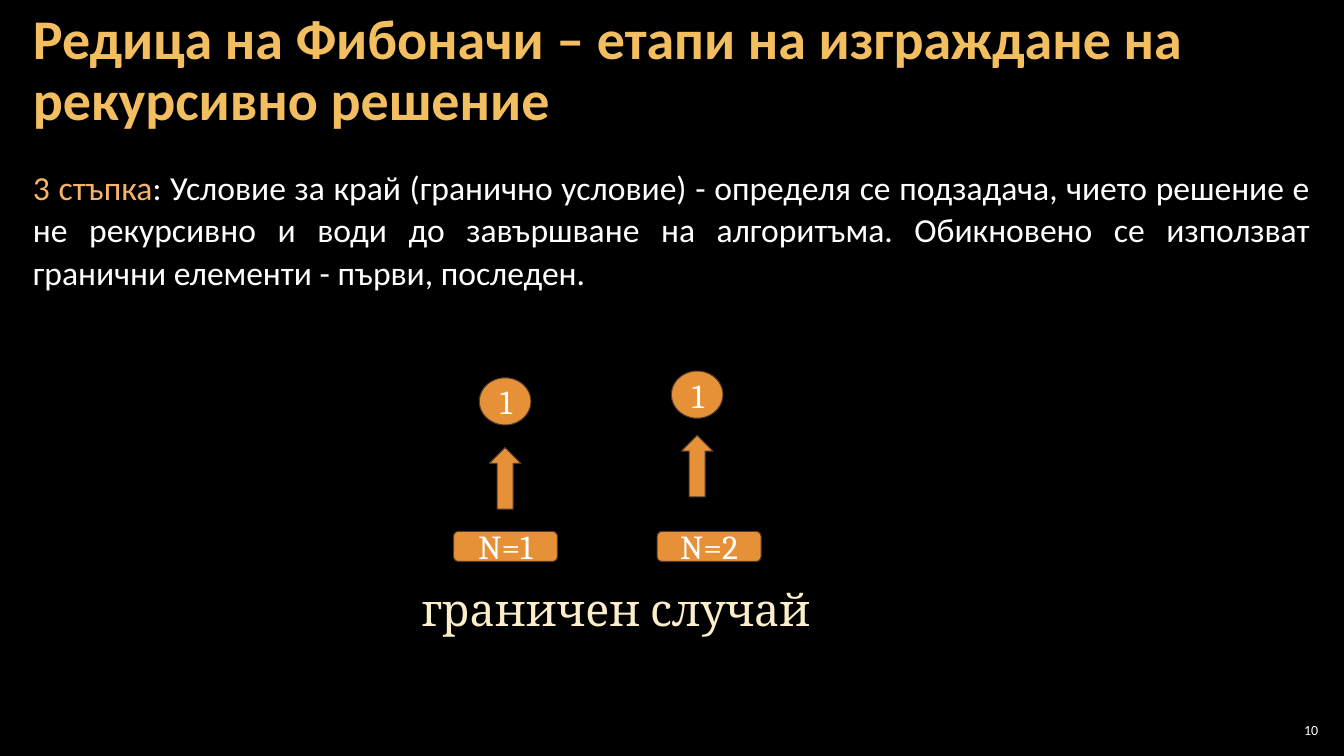
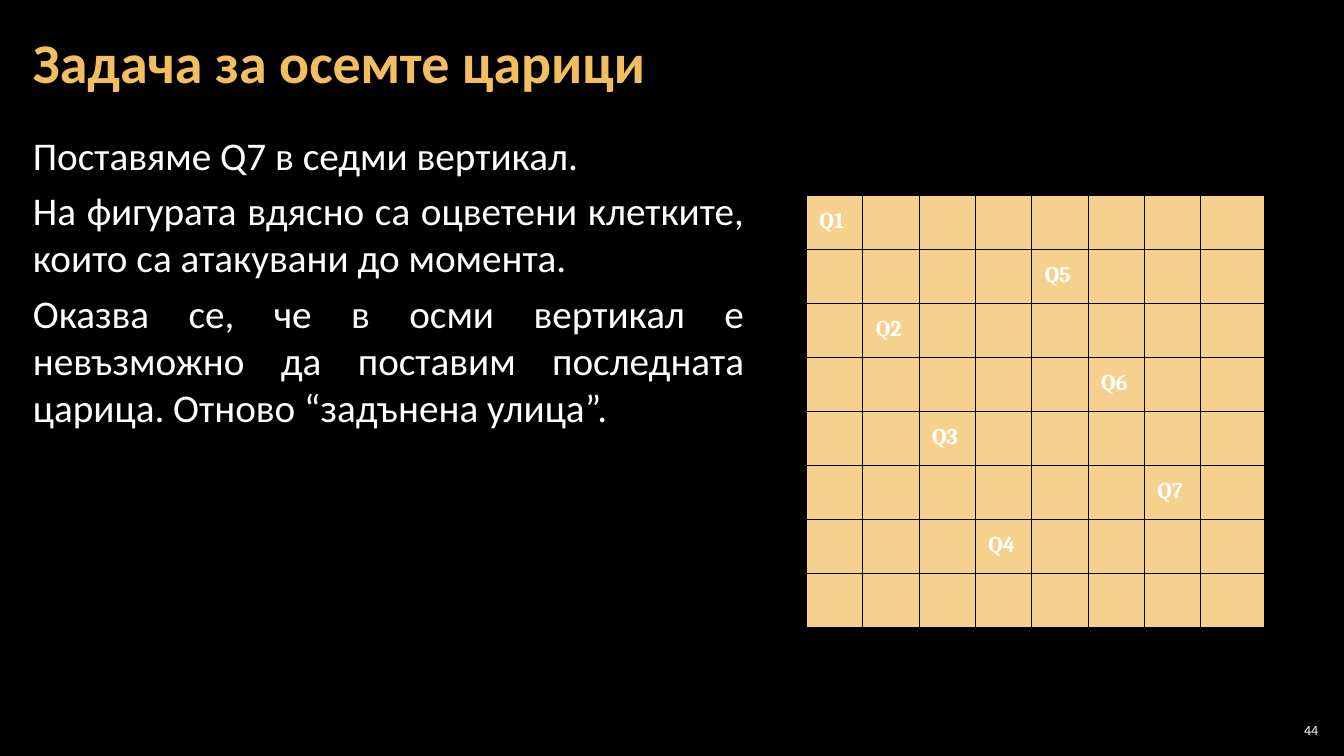
"""Builds two lecture slides on recursion: Fibonacci base cases and the eight queens board."""
from dataclasses import dataclass, field
from typing import Any, NamedTuple

from lxml.etree import SubElement
from pptx import Presentation
from pptx.dml.color import RGBColor as RGB
from pptx.enum.shapes import MSO_AUTO_SHAPE_TYPE as Preset
from pptx.enum.text import MSO_ANCHOR as Anchor, MSO_AUTO_SIZE as AutoSize, PP_ALIGN as Align
from pptx.oxml.ns import qn
from pptx.util import Cm, Pt


class Box(NamedTuple):
    left: float
    top: float
    width: float
    height: float

    def lengths(self) -> list[Cm]:
        return [Cm(value) for value in self]


class Style(NamedTuple):
    size: int
    color: RGB
    face: str = "Calibri"
    bold: bool = False


class Run(NamedTuple):
    text: str
    style: Style


class BaseCase(NamedTuple):
    label: str
    center: float
    circle_top: float
    arrow_top: float
    label_center: float


class Queen(NamedTuple):
    name: str
    row: int
    column: int


@dataclass(frozen=True)
class Theme:
    background: RGB = RGB(0x00, 0x00, 0x00)
    node: RGB = RGB(0xE6, 0x91, 0x38)
    outline: RGB = RGB(0x4E, 0x3B, 0x30)
    attacked: RGB = RGB(0xF6, 0xD1, 0x8E)
    title: Style = Style(40, RGB(0xF3, 0xBE, 0x60), bold=True)
    step: Style = Style(24, RGB(0xF6, 0xB2, 0x6B))
    explanation: Style = Style(24, RGB(0xFF, 0xFF, 0xFF))
    body: Style = Style(28, RGB(0xFF, 0xFF, 0xFF))
    node_text: Style = Style(24, RGB(0xFF, 0xFF, 0xFF), "Cambria")
    caption: Style = Style(32, RGB(0xFB, 0xEE, 0xC9), "Cambria")
    queen: Style = Style(16, RGB(0xFF, 0xFF, 0xFF), "Cambria", True)
    page: Style = Style(10, RGB(0xFF, 0xFF, 0xFF))


@dataclass(frozen=True)
class TextFormat:
    inset_x: float = 0.3
    inset_y: float = 0.1
    anchor: Anchor = Anchor.TOP
    paragraph: dict[str, Any] = field(default_factory=dict)


THEME = Theme()
LEFT, FULL_WIDTH = 0.53, 32.79
BOARD_SIZE = 8
SQUARE_WIDTH, LAST_WIDTH, SQUARE_HEIGHT = 1.42, 1.6, 1.36
NODE_INSET = 0.33

BASE_CASES = [
    BaseCase("N=1", 12.73, 9.52, 11.28, 12.74),
    BaseCase("N=2", 17.57, 9.35, 10.97, 17.87),
]
QUEENS = [
    Queen("Q1", 0, 0),
    Queen("Q2", 2, 1),
    Queen("Q3", 4, 2),
    Queen("Q4", 6, 3),
    Queen("Q5", 1, 4),
    Queen("Q6", 3, 5),
    Queen("Q7", 5, 6),
]


def apply(target: Any, values: dict[str, Any]) -> None:
    for name, value in values.items():
        setattr(target, name, value)


def add_run(paragraph: Any, run: Run) -> None:
    part = paragraph.add_run()
    part.text = run.text
    apply(part.font, {"size": Pt(run.style.size), "name": run.style.face, "bold": run.style.bold})
    part.font.color.rgb = run.style.color


def write(frame: Any, paragraphs: list[list[Run]], layout: TextFormat) -> None:
    apply(frame, {
        "word_wrap": True,
        "auto_size": AutoSize.NONE,
        "vertical_anchor": layout.anchor,
        "margin_left": Cm(layout.inset_x),
        "margin_right": Cm(layout.inset_x),
        "margin_top": Cm(layout.inset_y),
        "margin_bottom": Cm(layout.inset_y),
    })
    for index, runs in enumerate(paragraphs):
        paragraph = frame.add_paragraph() if index else frame.paragraphs[0]
        apply(paragraph, layout.paragraph)
        for run in runs:
            add_run(paragraph, run)


def add_text(slide: Any, box: Box, paragraphs: list[list[Run]], layout: TextFormat) -> None:
    write(slide.shapes.add_textbox(*box.lengths()).text_frame, paragraphs, layout)


def add_node(slide: Any, preset: Preset, box: Box, text: str = "", align: Align = Align.CENTER) -> None:
    node = slide.shapes.add_shape(preset, *box.lengths())
    node.shadow.inherit = False
    node.fill.solid()
    node.fill.fore_color.rgb = THEME.node
    node.line.color.rgb = THEME.outline
    node.line.width = Pt(0.75)
    if text:
        layout = TextFormat(NODE_INSET, NODE_INSET, Anchor.MIDDLE, {"alignment": align})
        write(node.text_frame, [[Run(text, THEME.node_text)]], layout)


def add_base_case(slide: Any, case: BaseCase) -> None:
    circle = Box(case.center - 0.65, case.circle_top, 1.3, 1.19)
    arrow = Box(case.center - 0.4, case.arrow_top, 0.8, 1.55)
    label = Box(case.label_center - 1.31, 13.39, 2.62, 0.76)
    add_node(slide, Preset.OVAL, circle, "1", Align.LEFT)
    add_node(slide, Preset.UP_ARROW, arrow)
    add_node(slide, Preset.ROUNDED_RECTANGLE, label, case.label)


def add_borders(cell: Any) -> None:
    properties = cell._tc.get_or_add_tcPr()
    for side in ("a:lnL", "a:lnR", "a:lnT", "a:lnB"):
        line = SubElement(properties, qn(side), w=str(Pt(0.75)))
        fill = SubElement(line, qn("a:solidFill"))
        SubElement(fill, qn("a:srgbClr"), val=str(THEME.background))


def add_board(slide: Any, left: float, top: float, queens: list[Queen]) -> None:
    widths = [SQUARE_WIDTH] * (BOARD_SIZE - 1) + [LAST_WIDTH]
    box = Box(left, top, sum(widths), SQUARE_HEIGHT * BOARD_SIZE)
    board = slide.shapes.add_table(BOARD_SIZE, BOARD_SIZE, *box.lengths()).table
    apply(board, {"first_row": False, "horz_banding": False})
    for column, width in zip(board.columns, widths):
        column.width = Cm(width)
    for row in board.rows:
        row.height = Cm(SQUARE_HEIGHT)
    for square in board.iter_cells():
        add_borders(square)
        square.fill.solid()
        square.fill.fore_color.rgb = THEME.attacked
    margins = ("margin_left", "margin_right", "margin_top", "margin_bottom")
    for queen in queens:
        square = board.cell(queen.row, queen.column)
        apply(square, dict.fromkeys(margins, Cm(NODE_INSET)))
        add_run(square.text_frame.paragraphs[0], Run(queen.name, THEME.queen))


def add_titled_slide(deck: Any, title: str, title_top: float, page: str) -> Any:
    slide = deck.slides.add_slide(deck.slide_layouts[5])
    heading = slide.shapes.title
    box = Box(LEFT, title_top, FULL_WIDTH, 3.07)
    apply(heading, dict(zip(box._fields, box.lengths())))
    heading_format = TextFormat(
        anchor=Anchor.MIDDLE, paragraph={"alignment": Align.LEFT, "line_spacing": 0.9})
    write(heading.text_frame, [[Run(title, THEME.title)]], heading_format)
    page_format = TextFormat(0.1, 0.1, Anchor.MIDDLE, {"alignment": Align.RIGHT})
    add_text(slide, Box(32.13, 18.14, 1.19, 0.53), [[Run(page, THEME.page)]], page_format)
    return slide


def build_fibonacci(deck: Any) -> None:
    slide = add_titled_slide(
        deck, "Редица на Фибоначи – етапи на изграждане на рекурсивно решение", 0.28, "10")
    step = [
        Run("3 стъпка", THEME.step),
        Run(": Условие за край (гранично условие) - определя се подзадача, чието решение е "
            "не рекурсивно и води до завършване на алгоритъма. Обикновено се използват "
            "гранични елементи - първи, последен.", THEME.explanation),
    ]
    justified = TextFormat(paragraph={"alignment": Align.JUSTIFY, "line_spacing": 1.05})
    add_text(slide, Box(LEFT, 4.06, FULL_WIDTH, 14.07), [step], justified)
    for case in BASE_CASES:
        add_base_case(slide, case)
    centered = TextFormat(0.25, 0.13, paragraph={"alignment": Align.CENTER})
    add_text(slide, Box(6.93, 14.53, 17.2, 1.98), [[Run("граничен случай", THEME.caption)]], centered)


def build_queens(deck: Any) -> None:
    slide = add_titled_slide(deck, "Задача за осемте царици", 0.1, "44")
    statements = [
        "Поставяме Q7 в седми вертикал.",
        "На фигурата вдясно са оцветени клетките, които са атакувани до момента.",
        "Оказва се, че в осми вертикал е невъзможно да поставим последната царица. "
        "Отново “задънена улица”.",
    ]
    justified = TextFormat(paragraph={"alignment": Align.JUSTIFY, "space_after": Pt(6)})
    add_text(slide, Box(LEFT, 3.2, 18.52, 15.47),
             [[Run(statement, THEME.body)] for statement in statements], justified)
    add_board(slide, 20.32, 4.93, QUEENS)


def main() -> None:
    deck = Presentation()
    apply(deck, {"slide_width": Cm(33.87), "slide_height": Cm(19.05)})
    backdrop = deck.slide_master.background.fill
    backdrop.solid()
    backdrop.fore_color.rgb = THEME.background
    build_fibonacci(deck)
    build_queens(deck)
    deck.save("out.pptx")


if __name__ == "__main__":
    main()
